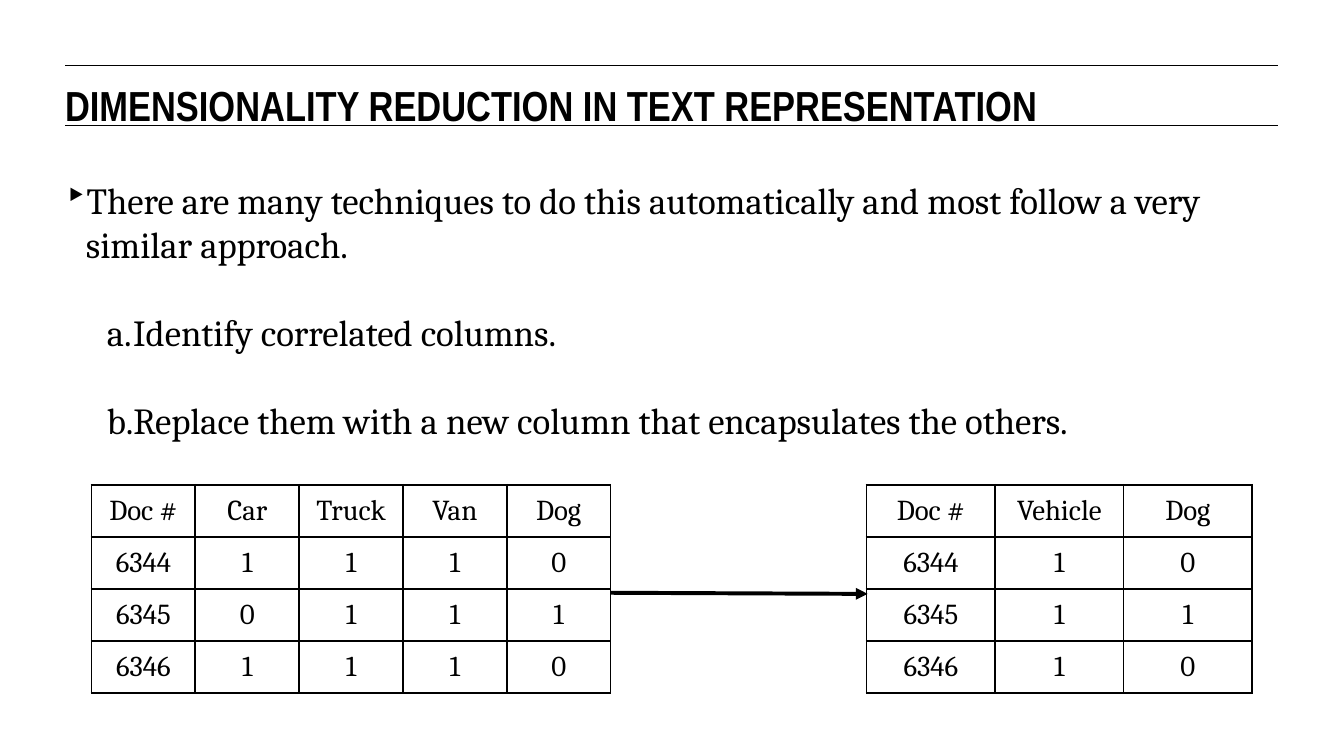
from lxml import etree
from pptx import Presentation
from pptx import util as u
from pptx.dml.color import RGBColor
from pptx.enum import shapes, text
from pptx.oxml import ns

BLACK = RGBColor(0x00, 0x00, 0x00)
HEADING_FONT = "Arial Narrow"
BODY_FONT = "Cambria"
LEFT, WIDTH = 1.75, 32.6
ROW_HEIGHT = 1.4

TITLE = "DIMENSIONALITY REDUCTION IN TEXT REPRESENTATION"
APPROACH = ("There are many techniques to do this automatically "
            "and most follow a very similar approach.")
STEPS = ["Identify correlated columns.",
         "Replace them with a new column that encapsulates the others."]
FULL_TABLE = [["Doc #", "Car", "Truck", "Van", "Dog"],
              ["6344", "1", "1", "1", "0"],
              ["6345", "0", "1", "1", "1"],
              ["6346", "1", "1", "1", "0"]]
REDUCED_TABLE = [["Doc #", "Vehicle", "Dog"],
                 ["6344", "1", "0"],
                 ["6345", "1", "1"],
                 ["6346", "1", "0"]]


def add_child(parent, tag, **attributes):
    return etree.SubElement(parent, ns.qn(tag), **attributes)


def add_span(para, words, font, size, bold=False):
    span = para.add_run()
    span.text = words
    span.font.name = font
    span.font.size = u.Pt(size)
    span.font.bold = bold
    span.font.color.rgb = BLACK


def add_line(page, x1, y1, x2, y2, weight, arrow=False):
    line = page.shapes.add_connector(
        shapes.MSO_CONNECTOR.STRAIGHT, u.Cm(x1), u.Cm(y1), u.Cm(x2), u.Cm(y2))
    line.line.color.rgb = BLACK
    line.line.width = u.Pt(weight)
    if arrow:
        add_child(line.line._get_or_add_ln(), "a:tailEnd", type="triangle")
    add_child(line._element.spPr, "a:effectLst")


def add_text_box(page, left, top, width, height, inset):
    box = page.shapes.add_textbox(u.Cm(left), u.Cm(top), u.Cm(width), u.Cm(height))
    frame = box.text_frame
    frame.word_wrap = True
    frame.margin_left = frame.margin_right = frame.margin_bottom = 0
    frame.margin_top = u.Cm(inset)
    return frame


def add_heading(page, left, top, width, height):
    for y in (top, top + height):
        add_line(page, left, y, left + width, y, 0.75)
    frame = add_text_box(page, left, top + 0.31, width, 1.2, 0.07)
    add_span(frame.paragraphs[0], TITLE, HEADING_FONT, 32, bold=True)


def add_bullet_para(para, words, indent, bullet, **attributes):
    para.line_spacing = u.Pt(33.6)
    add_span(para, words, BODY_FONT, 28)
    properties = para._p.get_or_add_pPr()
    properties.set("marL", str(u.Cm(indent)))
    properties.set("indent", str(u.Cm(-0.71)))
    add_child(properties, bullet, **attributes)


def add_body(page, left, top, width, height):
    frame = add_text_box(page, left, top, width, height, 1.19)
    add_bullet_para(frame.paragraphs[0], APPROACH, 0.56, "a:buChar", char="‣")
    for step in STEPS:
        para = frame.add_paragraph()
        para.level = 1
        para.space_before = u.Pt(33.6)
        add_bullet_para(para, step, 1.83, "a:buAutoNum", type="alphaLcPeriod")


def style_cell(cell, words):
    properties = cell._tc.get_or_add_tcPr()
    for side in ("a:lnL", "a:lnR", "a:lnT", "a:lnB"):
        border = add_child(properties, side, w=str(u.Pt(1.5)))
        fill = add_child(border, "a:solidFill")
        add_child(fill, "a:srgbClr", val=str(BLACK))
    cell.fill.background()
    cell.margin_left = cell.margin_right = u.Cm(0.25)
    cell.margin_top = cell.margin_bottom = u.Cm(0.24)
    cell.vertical_anchor = text.MSO_ANCHOR.MIDDLE
    para = cell.text_frame.paragraphs[0]
    para.alignment = text.PP_ALIGN.CENTER
    para.line_spacing = u.Pt(25.5)
    add_span(para, words, BODY_FONT, 22)


def add_grid(page, left, top, width, rows):
    columns = len(rows[0])
    grid = page.shapes.add_table(
        len(rows), columns, u.Cm(left), u.Cm(top),
        u.Cm(width), u.Cm(ROW_HEIGHT * len(rows))).table
    grid.first_row = grid.horz_banding = False
    for column in grid.columns:
        column.width = u.Cm(width / columns)
    for r, row in enumerate(rows):
        grid.rows[r].height = u.Cm(ROW_HEIGHT)
        for c, words in enumerate(row):
            style_cell(grid.cell(r, c), words)


def add_comparison(page, left, top, width):
    full_width, reduced_width = 13.95, 10.36
    reduced_left = left + width - reduced_width
    add_grid(page, left, top, full_width, FULL_TABLE)
    add_grid(page, reduced_left, top, reduced_width, REDUCED_TABLE)
    middle = top + 2.9
    add_line(page, left + full_width, middle, reduced_left + 0.03, middle + 0.03,
             3, arrow=True)


def main():
    deck = Presentation()
    deck.slide_width, deck.slide_height = u.Cm(36.12), u.Cm(20.29)
    page = deck.slides.add_slide(deck.slide_layouts[6])
    add_heading(page, LEFT, 1.75, WIDTH, 1.63)
    add_body(page, LEFT, 3.58, WIDTH, 9.02)
    add_comparison(page, 2.46, 13.03, 31.19)
    deck.save("out.pptx")


if __name__ == "__main__":
    main()
